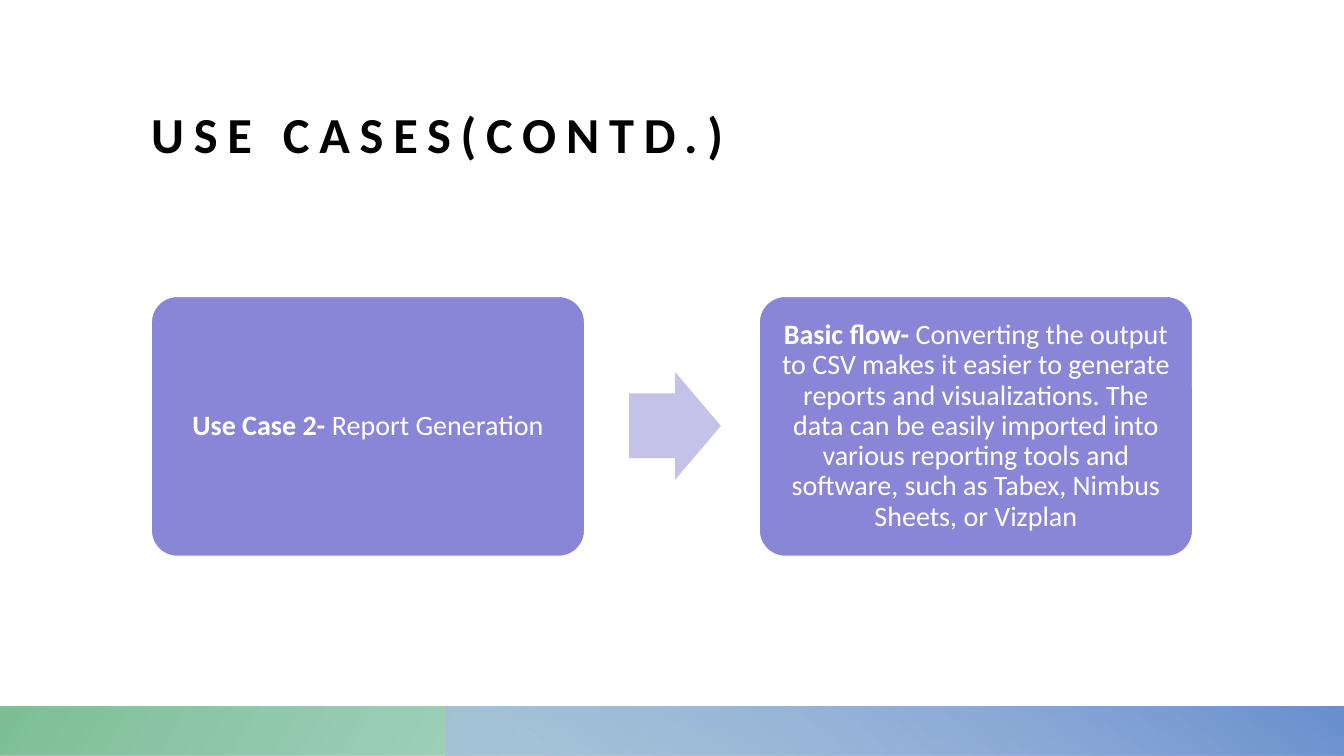
from lxml.etree import SubElement
from pptx import Presentation
from pptx.dml.color import RGBColor
from pptx.enum.shapes import MSO_SHAPE as Shape
from pptx.enum.text import MSO_ANCHOR as Anchor, PP_ALIGN as Align
from pptx.oxml.ns import qn
from pptx.util import Inches, Pt

BLACK = RGBColor(0x00, 0x00, 0x00)
WHITE = RGBColor(0xFF, 0xFF, 0xFF)
VIOLET = RGBColor(0x89, 0x85, 0xD7)
LILAC = RGBColor(0xC4, 0xC2, 0xE8)
GREEN = RGBColor(0x68, 0xB4, 0x84)
TEAL = RGBColor(0x5D, 0xB4, 0xA2)
PALE = RGBColor(0xA6, 0xBC, 0xE2)
BLUE = RGBColor(0x6A, 0x90, 0xCE)

WIDE, HIGH = 13.33, 7.5
LEFT, RIGHT = 1.5, 7.53
CARDS = [
    (LEFT, "Use Case 2-\u00a0", "Report Generation"),
    (RIGHT, "Basic flow-\u00a0",
     "Converting the output to CSV makes it easier to generate reports and "
     "visualizations. The data can be easily imported into various reporting "
     "tools and software, such as Tabex, Nimbus Sheets, or Vizplan"),
]


def write(frame, runs, size=20, color=WHITE, align=Align.CENTER,
          anchor=Anchor.MIDDLE, inset=0.08, lead=0.9, track=0):
    """Fill a text frame with one paragraph of (text, bold) runs."""
    frame.word_wrap = True
    frame.vertical_anchor = anchor
    frame.margin_left = frame.margin_right = Inches(inset)
    frame.margin_top = frame.margin_bottom = Inches(inset)
    para = frame.paragraphs[0]
    para.alignment = align
    para.line_spacing = lead
    for text, bold in runs:
        run = para.add_run()
        run.text = text
        font = run.font
        font.name, font.size, font.bold = "Calibri", Pt(size), bold
        font.color.rgb = color
        if track:
            font._element.set("spc", str(track * 100))


def block(slide, kind, box, adjust=()):
    """Add a preset shape with no shadow and no outline."""
    shape = slide.shapes.add_shape(kind, *map(Inches, box))
    shape.shadow.inherit = False
    shape.line.fill.background()
    for index, value in enumerate(adjust):
        shape.adjustments[index] = value
    return shape


def band(slide, left, stops, angle):
    """Add a footer band with a gradient of (position, color, opacity) stops."""
    top = 7.01
    shape = block(slide, Shape.RECTANGLE, (left, top, WIDE - left, HIGH - top))
    shape.fill.gradient()
    shape.fill.gradient_angle = angle
    for stop, (place, color, _) in zip(shape.fill.gradient_stops, stops):
        stop.position, stop.color.rgb = place, color
    tints = shape._element.spPr.iter(qn("a:srgbClr"))
    for tint, (_, _, alpha) in zip(tints, stops):
        SubElement(tint, qn("a:alpha"), val=str(alpha * 1000))


def card(slide, left, head, body):
    """Add a rounded card with a bold lead-in."""
    shape = block(slide, Shape.ROUNDED_RECTANGLE, (left, 2.94, 4.3, 2.58), [0.1])
    shape.fill.solid()
    shape.fill.fore_color.rgb = VIOLET
    shape.line.color.rgb = WHITE
    shape.line.width = Pt(1)
    write(shape.text_frame, [(head, True), (body, False)])


def arrow(slide):
    """Add the arrow between the cards."""
    shape = block(slide, Shape.RIGHT_ARROW, (6.24, 3.69, 0.91, 1.07), [0.6, 0.5])
    shape.fill.solid()
    shape.fill.fore_color.rgb = LILAC


def title(slide, text):
    """Place and format the title."""
    shape = slide.shapes.title
    shape.left, shape.top = Inches(LEFT), Inches(0.52)
    shape.width, shape.height = Inches(10.33), Inches(1.1)
    write(shape.text_frame, [(text, True)], size=36, color=BLACK,
          align=Align.LEFT, anchor=Anchor.BOTTOM, inset=0, lead=1.0, track=7)


def main():
    """Build and save the slide."""
    deck = Presentation()
    deck.slide_width, deck.slide_height = Inches(WIDE), Inches(HIGH)
    slide = deck.slides.add_slide(deck.slide_layouts[5])
    title(slide, "USE CASES(CONTD.)")
    band(slide, 0, [(0, GREEN, 85), (0.86, TEAL, 28)], 330)
    band(slide, 4.42, [(0.09, PALE, 68), (0.99, BLUE, 100)], 50)
    for item in CARDS:
        card(slide, *item)
    arrow(slide)
    deck.save("out.pptx")


if __name__ == "__main__":
    main()
